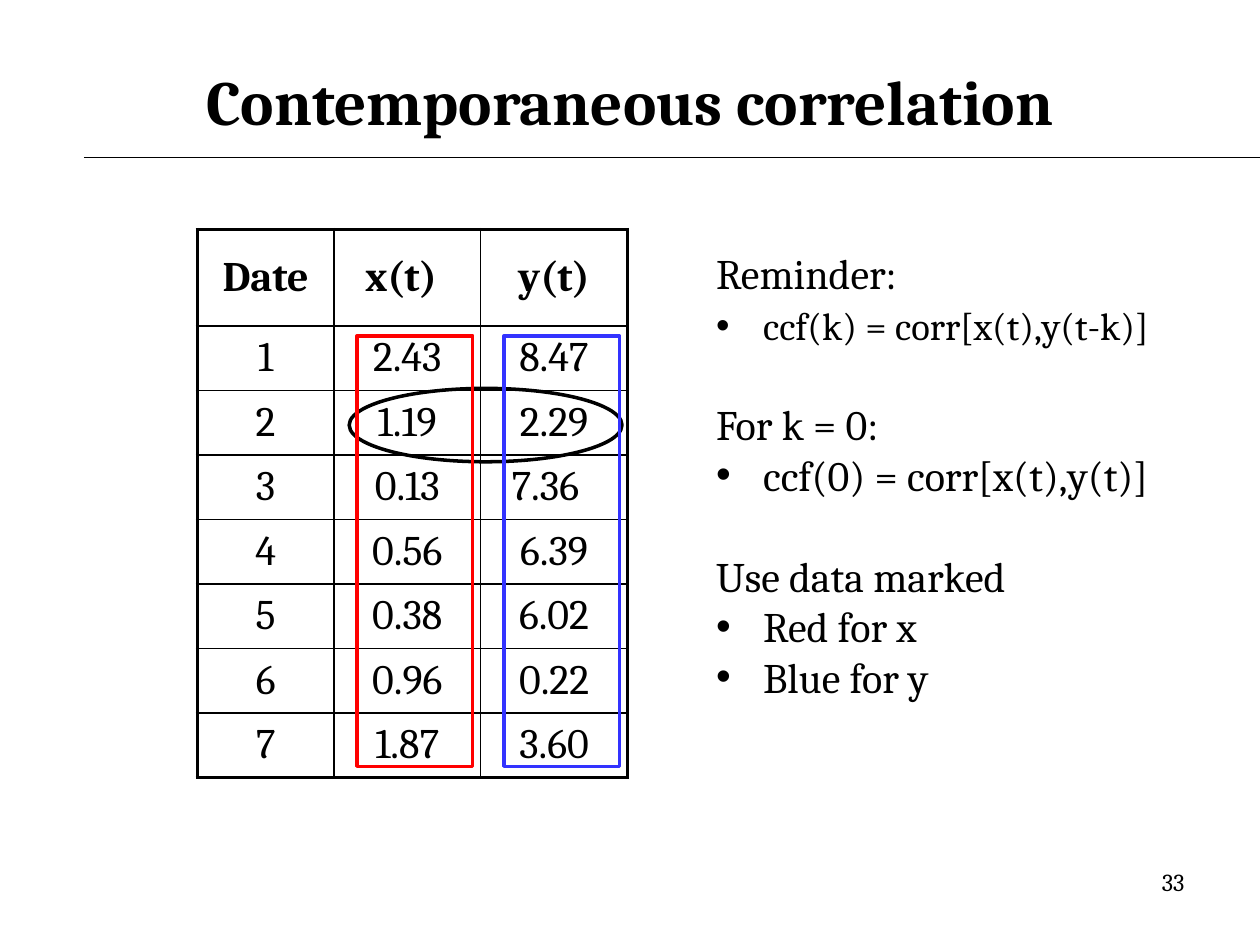
from collections import namedtuple

from lxml import etree
from pptx import Presentation
from pptx.dml.color import RGBColor
from pptx.enum.shapes import MSO_CONNECTOR, MSO_SHAPE
from pptx.enum.text import MSO_ANCHOR, MSO_AUTO_SIZE, PP_ALIGN
from pptx.oxml.ns import qn
from pptx.util import Cm, Pt

LINE = MSO_CONNECTOR.STRAIGHT
RECTANGLE, OVAL = MSO_SHAPE.RECTANGLE, MSO_SHAPE.OVAL
TOP, MIDDLE = MSO_ANCHOR.TOP, MSO_ANCHOR.MIDDLE
LEFT, CENTER, RIGHT = PP_ALIGN.LEFT, PP_ALIGN.CENTER, PP_ALIGN.RIGHT
NO_AUTOFIT = MSO_AUTO_SIZE.NONE

BLACK = RGBColor(0x00, 0x00, 0x00)
RED = RGBColor(0xFF, 0x00, 0x00)
BLUE = RGBColor(0x33, 0x33, 0xFF)
FONT = "Cambria"
THIN, THICK = Pt(1), Pt(2.25)

Box = namedtuple("Box", "left top width height")

SERIES = [
    ("Date", "x(t)", "y(t)"),
    ("1", "2.43", "8.47"),
    ("2", "1.19", "2.29"),
    ("3", "0.13", "7.36"),
    ("4", "0.56", "6.39"),
    ("5", "0.38", "6.02"),
    ("6", "0.96", "0.22"),
    ("7", "1.87", "3.60"),
]
COLUMN_WIDTHS = (2.75, 2.96, 2.96)
HEADER_HEIGHT, ROW_HEIGHT = 1.94, 1.3
# Wider right margins move these two entries left of the column centre.
RIGHT_MARGINS = {(0, 1): 0.5, (3, 2): 0.61}

# Text, bulleted, size and space before in points
NOTES = [
    ("Reminder:", False, 24, 0),
    ("ccf(k) = corr[x(t),y(t-k)]", True, 22, 2),
    ("For k = 0:", False, 24, 29),
    ("ccf(0) = corr[x(t),y(t)]", True, 24, 0),
    ("Use data marked", False, 24, 29),
    ("Red for x", True, 24, 0),
    ("Blue for y", True, 24, 0),
]


def set_attributes(target, values):
    for name, value in values.items():
        setattr(target, name, value)


def place(shape, box):
    set_attributes(shape, {name: Cm(value) for name, value in box._asdict().items()})


def write(para, text, size, bold=False, align=LEFT):
    span = para.add_run()
    span.text = text
    para.alignment = align
    set_attributes(span.font, {"name": FONT, "size": Pt(size), "bold": bold})
    span.font.color.rgb = BLACK


def set_bullet(para, bulleted):
    """Give a hanging indent, with or without a bullet."""
    properties = para._p.get_or_add_pPr()
    indent = Cm(0.95)
    properties.set("marL", str(indent))
    properties.set("indent", str(-indent))
    if bulleted:
        etree.SubElement(properties, qn("a:buChar"), char="•")
    else:
        etree.SubElement(properties, qn("a:buNone"))


def set_borders(cell, widths):
    """Draw black borders from widths keyed by side: L, R, T, B."""
    properties = cell._tc.get_or_add_tcPr()
    for side, width in widths.items():
        line = etree.SubElement(properties, qn(f"a:ln{side}"), w=str(width))
        fill = etree.SubElement(line, qn("a:solidFill"))
        etree.SubElement(fill, qn("a:srgbClr"), val=str(BLACK))


def add_heading(page, box):
    title = page.shapes.title
    place(title, box)
    set_attributes(title.text_frame, {"vertical_anchor": MIDDLE, "auto_size": NO_AUTOFIT})
    write(title.text_frame.paragraphs[0], "Contemporaneous correlation", 36, True, CENTER)

    bottom = Cm(box.top + box.height)
    rule = page.shapes.add_connector(LINE, Cm(box.left + 0.42), bottom, Cm(25.4), bottom)
    rule.line.color.rgb = BLACK
    rule.line.width = Pt(0.75)
    etree.SubElement(rule._element.spPr, qn("a:effectLst"))


def add_notes(page, box):
    body = page.placeholders[1]
    place(body, box)
    frame = body.text_frame
    set_attributes(frame, {"vertical_anchor": TOP, "auto_size": NO_AUTOFIT})
    for index, (text, bulleted, size, gap) in enumerate(NOTES):
        para = frame.add_paragraph() if index else frame.paragraphs[0]
        para.space_before = Pt(gap)
        set_bullet(para, bulleted)
        write(para, text, size)


def add_series_table(page, box):
    last_row, last_column = len(SERIES) - 1, len(COLUMN_WIDTHS) - 1
    lengths = [Cm(value) for value in box]
    table = page.shapes.add_table(len(SERIES), len(COLUMN_WIDTHS), *lengths).table
    set_attributes(table, {"first_row": False, "horz_banding": False})
    for column, width in zip(table.columns, COLUMN_WIDTHS):
        column.width = Cm(width)
    for r, values in enumerate(SERIES):
        table.rows[r].height = Cm(ROW_HEIGHT if r else HEADER_HEIGHT)
        for c, value in enumerate(values):
            cell = table.cell(r, c)
            set_borders(cell, {
                "L": THIN if c else THICK,
                "R": THICK if c == last_column else THIN,
                "T": THIN if r else THICK,
                "B": THICK if r == last_row else THIN,
            })
            cell.fill.background()
            cell.vertical_anchor = MIDDLE
            if (r, c) in RIGHT_MARGINS:
                cell.margin_right = Cm(RIGHT_MARGINS[r, c])
            write(cell.text_frame.paragraphs[0], value, 24, r == 0, CENTER)


def add_outline(page, kind, box, color):
    outline = page.shapes.add_shape(kind, *[Cm(value) for value in box])
    outline.shadow.inherit = False
    outline.fill.background()
    outline.line.color.rgb = color
    outline.line.width = Pt(2)


def add_markers(page, box):
    """Circle one date and frame both series of the table in the box."""
    add_outline(page, OVAL, Box(box.left + 3.06, box.top + 3.2, 5.5, 1.48), BLACK)
    left = box.left + COLUMN_WIDTHS[0] + 0.47
    for index, color in enumerate((RED, BLUE)):
        frame = Box(left + index * COLUMN_WIDTHS[1], box.top + 2.14, 2.33, 8.68)
        add_outline(page, RECTANGLE, frame, color)


def add_page_number(page, box):
    number = page.shapes.add_textbox(*[Cm(value) for value in box])
    number.text_frame.word_wrap = True
    write(number.text_frame.paragraphs[0], "33", 14, align=RIGHT)


def main():
    deck = Presentation()
    deck.slide_width, deck.slide_height = Cm(25.4), Cm(19.05)
    page = deck.slides.add_slide(deck.slide_layouts[1])
    table_box = Box(3.98, 4.63, sum(COLUMN_WIDTHS), HEADER_HEIGHT + 7 * ROW_HEIGHT)
    add_heading(page, Box(1.27, 0.85, 22.86, 2.33))
    add_notes(page, Box(14.18, 4.87, 9.74, 10.58))
    add_series_table(page, table_box)
    add_markers(page, table_box)
    add_page_number(page, Box(18.2, 17.36, 5.93, 1.32))
    deck.save("out.pptx")


if __name__ == "__main__":
    main()
